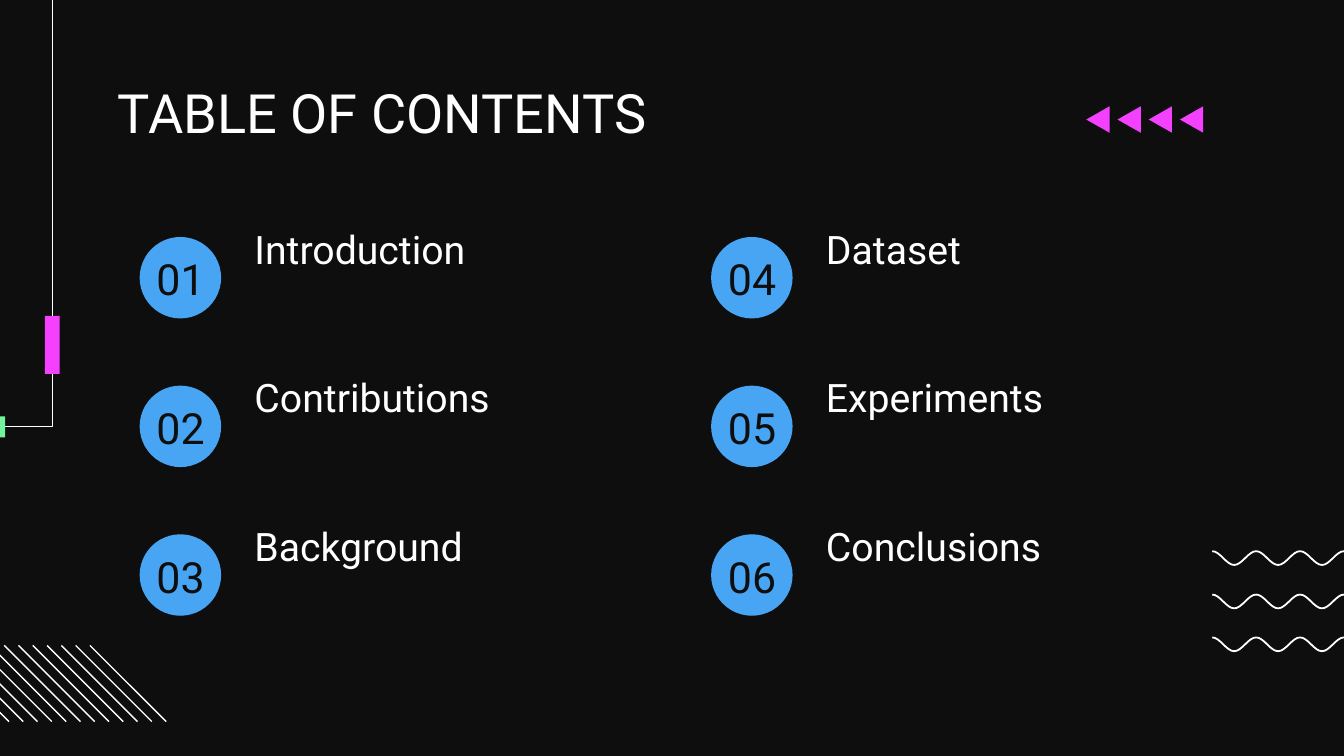
from math import cos, pi

from lxml.etree import SubElement
from pptx import Presentation
from pptx.dml.color import RGBColor
from pptx.enum.shapes import MSO_CONNECTOR, MSO_SHAPE
from pptx.enum.text import MSO_ANCHOR, MSO_AUTO_SIZE, PP_ALIGN
from pptx.oxml.ns import qn
from pptx.util import Cm, Pt

HUES = {"dark": "0E0E0E", "white": "FFFFFF", "blue": "47A5F3",
        "pink": "F341FF", "green": "72F49A"}
HUES = {name: RGBColor.from_string(code) for name, code in HUES.items()}

FRAME = {"word_wrap": True, "auto_size": MSO_AUTO_SIZE.NONE,
         "vertical_anchor": MSO_ANCHOR.TOP, "margin_left": Cm(0.25),
         "margin_right": Cm(0.25), "margin_bottom": Cm(0.25)}
HEAD = {"frame": {"margin_top": 0},
        "para": {"alignment": PP_ALIGN.LEFT},
        "font": {"size": Pt(29)}, "hue": "white"}
NUMBER = {"frame": {"margin_top": Cm(0.51)},
          "para": {"alignment": PP_ALIGN.CENTER},
          "font": {"size": Pt(23)}, "hue": "dark"}
TOPIC = {"frame": {"margin_top": 0},
         "para": {"line_spacing": 1.15, "space_after": Pt(12)},
         "font": {"size": Pt(21)}, "hue": "white"}


def write(box, text, style):
    frame = box.text_frame
    frame.text = text
    para = frame.paragraphs[0]
    font = para.runs[0].font
    for part, values in ((frame, FRAME | style["frame"]),
                         (para, style["para"]),
                         (font, {"name": "Roboto"} | style["font"])):
        for key, value in values.items():
            setattr(part, key, value)
    font.color.rgb = HUES[style["hue"]]


def trace(points, close=False):
    """Draw an outline through points given in centimetres."""
    first, *rest = [(Cm(x), Cm(y)) for x, y in points]
    pen = shapes.build_freeform(*first)
    pen.add_line_segments(rest, close=close)
    return pen.convert_to_shape()


deck = Presentation()
deck.slide_width, deck.slide_height = Cm(25.4), Cm(14.29)
slide = deck.slides.add_slide(deck.slide_layouts[5])
slide.background.fill.solid()
slide.background.fill.fore_color.rgb = HUES["dark"]
shapes = slide.shapes
solid = []  # filled shapes with their colours
open_lines = []  # unfilled lines with their widths

# Waves on the right: three and a half periods each
period, steps = 0.83, 16
for top in (10.42, 11.24, 12.05):
    wave = [(22.91 + period * i / steps,
             top + 0.13 * (1 - cos(2 * pi * i / steps)))
            for i in range(int(3.5 * steps) + 1)]
    open_lines.append((trace(wave), 0.95))

# Hatching in the lower left corner
for i in range(12):
    left = -1.27 + 0.27 * i
    hatch = shapes.add_connector(MSO_CONNECTOR.STRAIGHT, Cm(left), Cm(12.2),
                                 Cm(left + 1.44), Cm(13.64))
    hatch.line.color.rgb = HUES["white"]
    hatch.line.width = Pt(0.75)
    SubElement(hatch._element.spPr, qn("a:effectLst"))

# Bent line with its two blocks
open_lines.append((trace([(-0.3, 8.06), (0.99, 8.06), (0.99, -0.3)]), 0.75))
for hue, *place in (("green", -0.3, 7.87, 0.4, 0.4),
                    ("pink", 0.85, 5.97, 0.28, 1.1)):
    block = shapes.add_shape(MSO_SHAPE.RECTANGLE, *map(Cm, place))
    solid.append((block, hue))

write(shapes.title, "TABLE OF CONTENTS", HEAD)
for side, value in zip(("left", "top", "width", "height"),
                       (1.98, 1.5, 21.44, 1.17)):
    setattr(shapes.title, side, Cm(value))

# Contents: two columns of three
topics = ("Introduction", "Contributions", "Background",
          "Dataset", "Experiments", "Conclusions")
for i, topic in enumerate(topics):
    col, row = divmod(i, 3)
    x, y = 10.8 * col, 2.81 * row
    disc = shapes.add_shape(MSO_SHAPE.OVAL, Cm(2.64 + x), Cm(4.48 + y),
                            Cm(1.54), Cm(1.54))
    solid.append((disc, "blue"))
    number = shapes.add_textbox(Cm(2.27 + x), Cm(4.27 + y), Cm(2.29), Cm(1.55))
    write(number, f"{i + 1:02}", NUMBER)
    label = shapes.add_textbox(Cm(4.56 + x), Cm(4.12 + y), Cm(8.03), Cm(0.99))
    write(label, topic, TOPIC)

# Row of arrowheads pointing left
for i in range(4):
    x = 20.53 + 0.59 * i
    arrow = trace([(x + 0.44, 2.01), (x, 2.26), (x + 0.44, 2.51)], close=True)
    solid.append((arrow, "pink"))

for shape, hue in solid:
    shape.shadow.inherit = False
    shape.fill.solid()
    shape.fill.fore_color.rgb = HUES[hue]
    shape.line.fill.background()

for shape, width in open_lines:
    shape.shadow.inherit = False
    shape.fill.background()
    shape.line.color.rgb = HUES["white"]
    shape.line.width = Pt(width)

deck.save("out.pptx")
